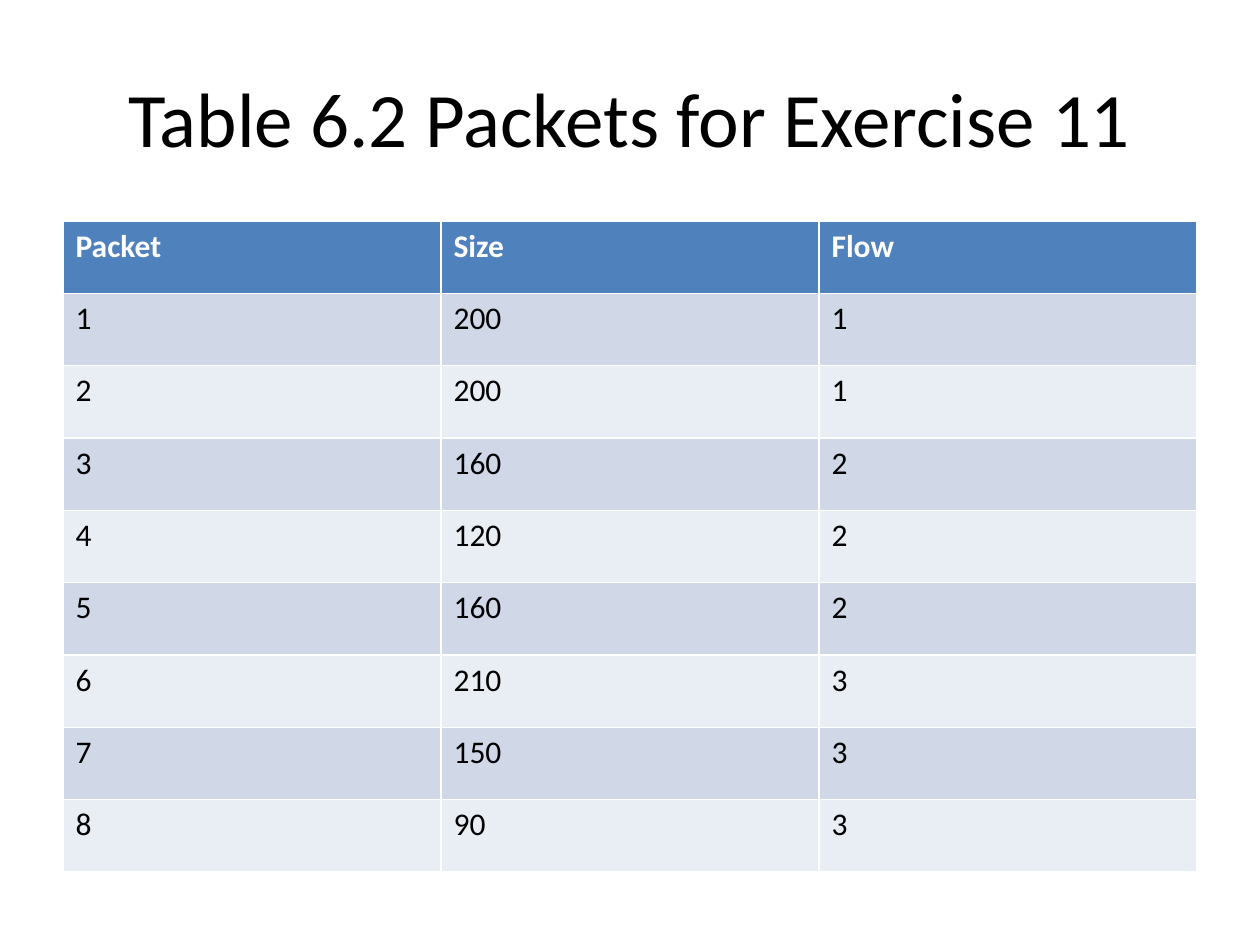
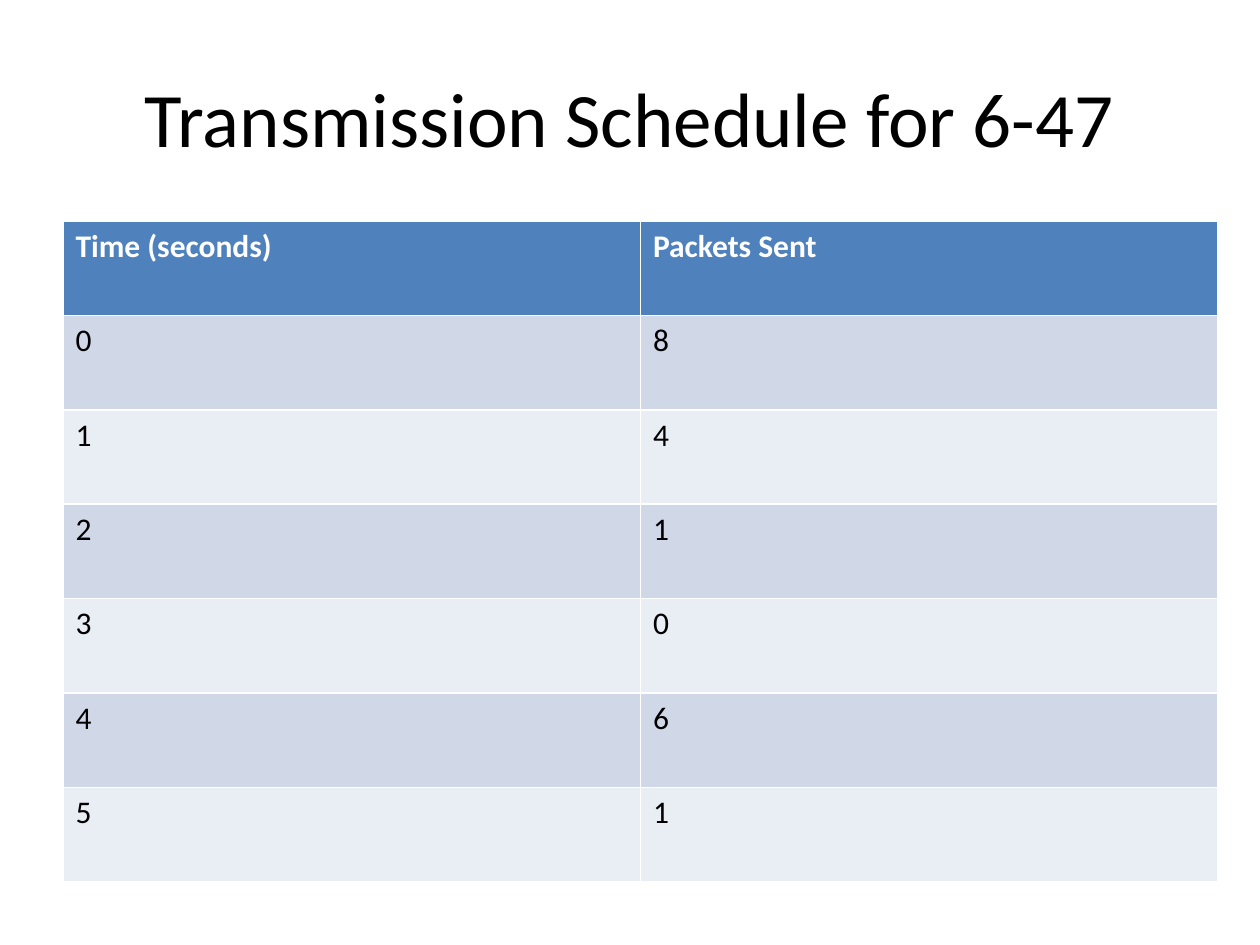
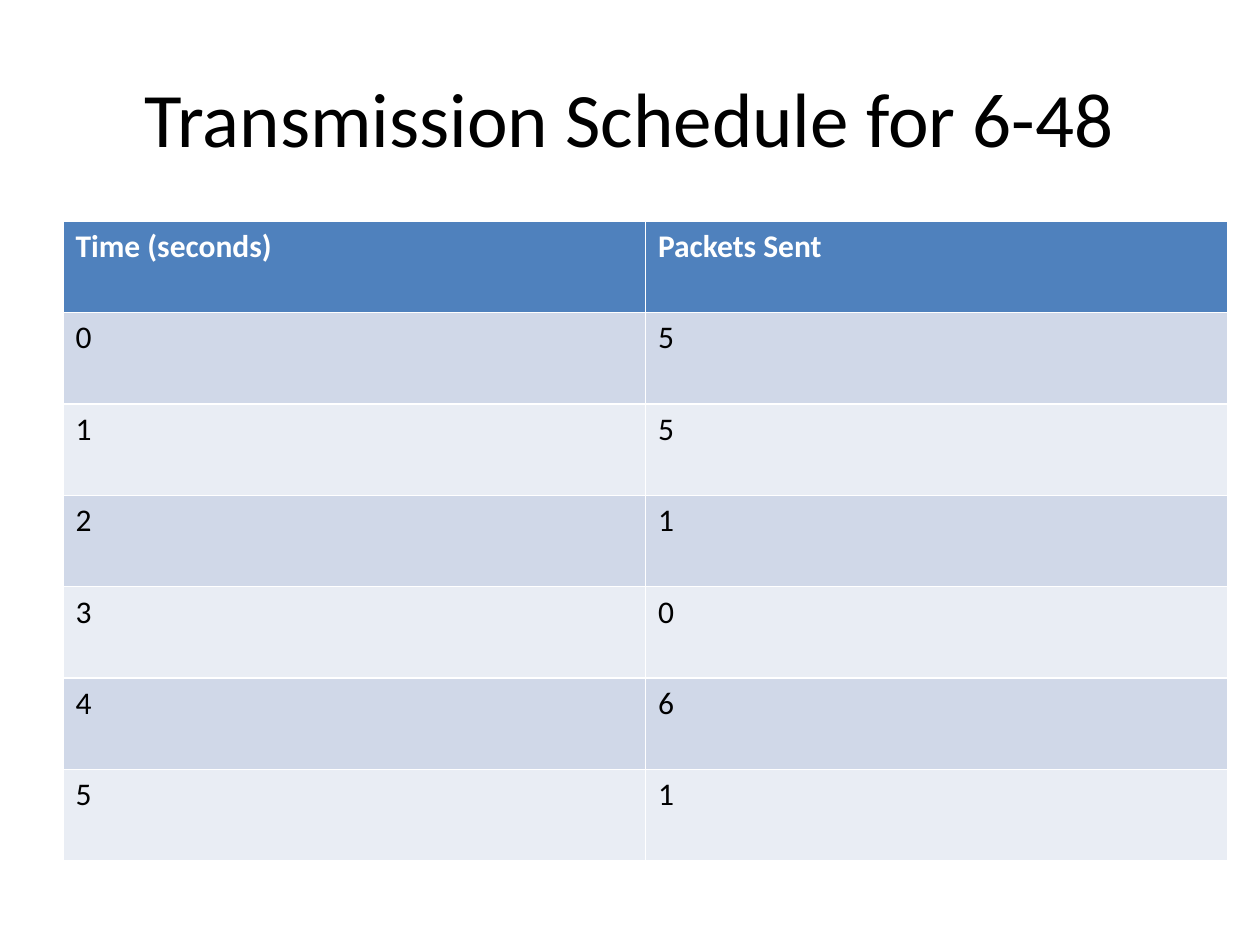
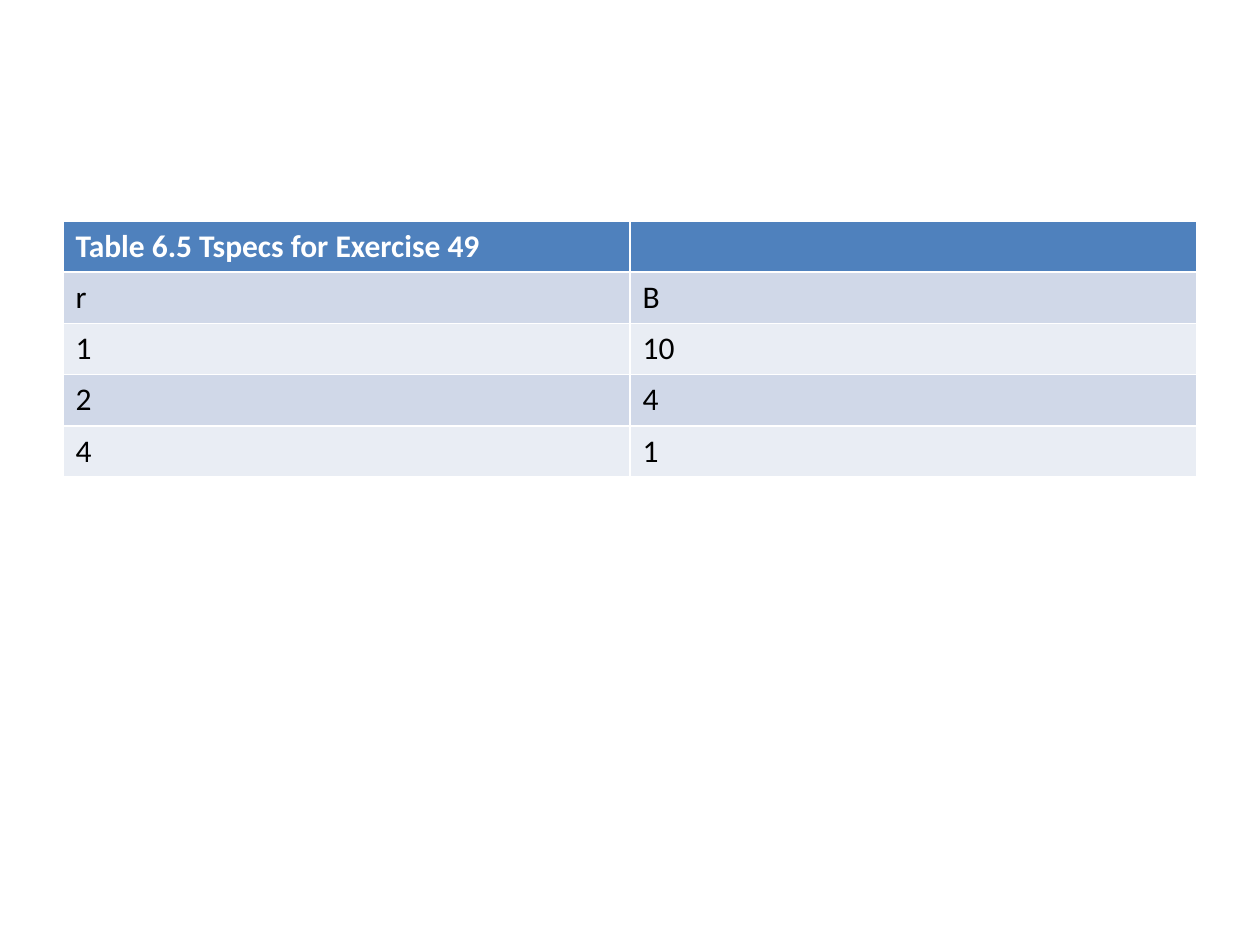
"""Build four slides of packet and transmission tables."""
import dataclasses

import pptx
import pptx.dml.color
import pptx.enum.text
import pptx.util

PIXELS_PER_INCH = 126
SCALE = 914400 / PIXELS_PER_INCH


def pixels(count):
    """Turn whole pixels into EMU."""
    return pptx.util.Emu(round(count * SCALE))


def color(value):
    """Turn a hex string into a colour."""
    return pptx.dml.color.RGBColor.from_string(value)


@dataclasses.dataclass(frozen=True)
class Theme:
    """Colours, font and type sizes of the deck."""
    font: str = "Calibri"
    title_size: int = 44
    table_size: int = 18
    background: str = "FFFFFF"
    text: str = "000000"
    header_text: str = "FFFFFF"
    header_fill: str = "4F81BD"
    bands: tuple = ("D0D8E8", "E9EDF4")


class Deck:
    """Holds the theme, the presentation and the current slide."""

    def __init__(self, theme):
        """Start an empty presentation of 10 by 7.5 inches."""
        self.theme = theme
        self.presentation = pptx.Presentation()
        self.presentation.slide_width = pixels(1260)
        self.presentation.slide_height = pixels(945)
        self.slide = None

    def add_slide(self):
        """Add a blank slide and make it the current one."""
        blank = self.presentation.slide_layouts[6]
        self.slide = self.presentation.slides.add_slide(blank)
        fill = self.slide.background.fill
        fill.solid()
        fill.fore_color.rgb = color(self.theme.background)

    def add_text(self, paragraph, text, size, text_color, bold=False):
        """Add one formatted run to a paragraph."""
        run = paragraph.add_run()
        run.text = text
        values = {"name": self.theme.font, "size": pptx.util.Pt(size), "bold": bold}
        for name, value in values.items():
            setattr(run.font, name, value)
        run.font.color.rgb = color(text_color)

    def add_title(self, text):
        """Add the centred slide title."""
        box = self.slide.shapes.add_textbox(
            pixels(63), pixels(38), pixels(1134), pixels(157))
        frame = box.text_frame
        frame.word_wrap = True
        frame.vertical_anchor = pptx.enum.text.MSO_ANCHOR.MIDDLE
        paragraph = frame.paragraphs[0]
        paragraph.alignment = pptx.enum.text.PP_ALIGN.CENTER
        self.add_text(paragraph, text, self.theme.title_size, self.theme.text)

    def add_table(self, rows, width, height):
        """Add a table with a header row, banded rows and equal cells."""
        table = self.slide.shapes.add_table(
            len(rows), len(rows[0]), pixels(63), pixels(221),
            pixels(width), pixels(height)).table
        for row_index, row in enumerate(rows):
            header = row_index == 0
            band = self.theme.bands[(row_index - 1) % 2]
            fill_color = self.theme.header_fill if header else band
            text_color = self.theme.header_text if header else self.theme.text
            for column_index, value in enumerate(row):
                cell = table.cell(row_index, column_index)
                cell.fill.solid()
                cell.fill.fore_color.rgb = color(fill_color)
                if value != "":
                    self.add_text(cell.text_frame.paragraphs[0], str(value),
                                  self.theme.table_size, text_color, header)


def add_schedule(deck, exercise, packets_sent, width, height):
    """Add a slide with the packets sent in each second."""
    deck.add_slide()
    deck.add_title(f"Transmission Schedule for {exercise}")
    header = ("Time (seconds)", "Packets Sent")
    deck.add_table([header, *enumerate(packets_sent)], width, height)


def main():
    """Build and save the deck."""
    deck = Deck(Theme())

    deck.add_slide()
    deck.add_title("Table 6.2 Packets for Exercise 11")
    packets = [(200, 1), (200, 1), (160, 2), (120, 2),
               (160, 2), (210, 3), (150, 3), (90, 3)]
    packet_rows = [(number, size, flow)
                   for number, (size, flow) in enumerate(packets, start=1)]
    deck.add_table([("Packet", "Size", "Flow"), *packet_rows], 1134, 651)

    add_schedule(deck, "6-47", (8, 4, 1, 0, 6, 1), 1155, 661)
    add_schedule(deck, "6-48", (5, 5, 1, 0, 6, 1), 1165, 640)

    deck.add_slide()
    deck.add_table([("Table 6.5 Tspecs for Exercise 49", ""),
                    ("r", "B"), (1, 10), (2, 4), (4, 1)], 1134, 256)

    deck.presentation.save("out.pptx")


main()
